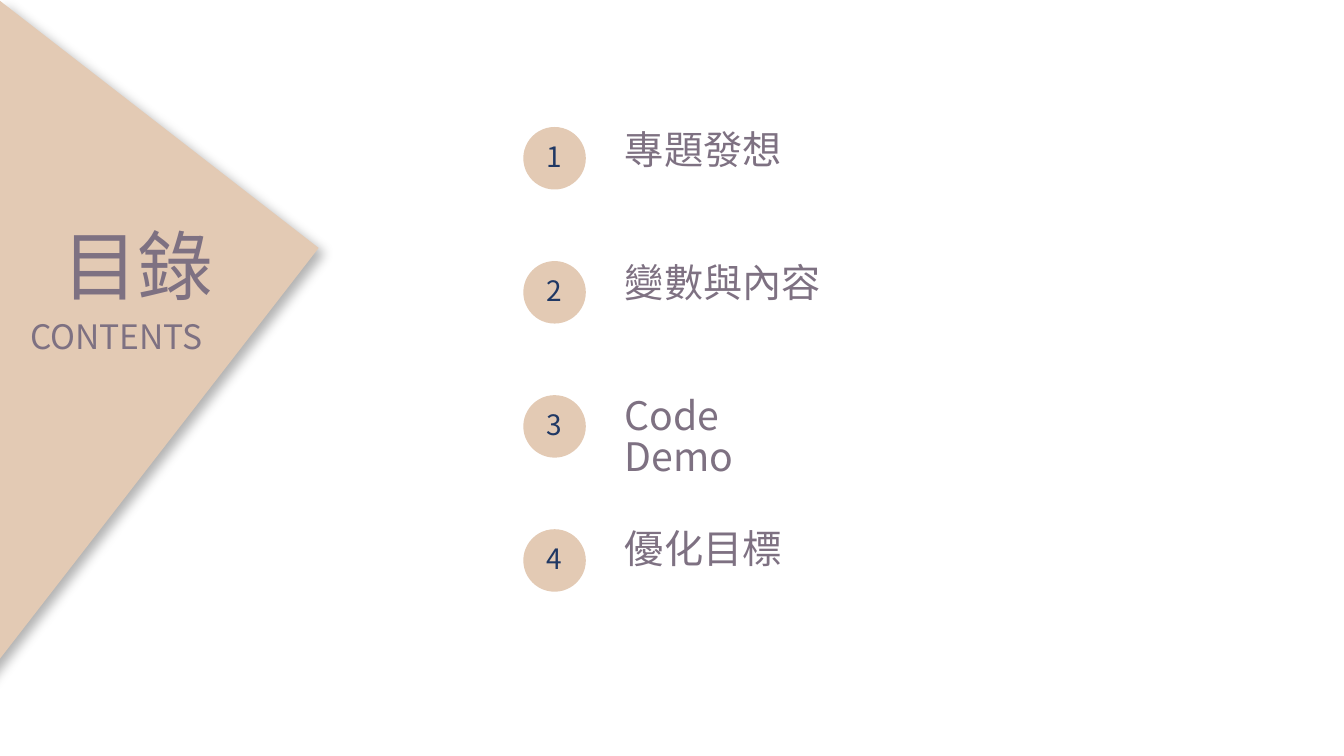
from lxml.etree import SubElement
from pptx import Presentation
from pptx.dml.color import RGBColor
from pptx.enum.shapes import MSO_SHAPE
from pptx.enum.text import MSO_ANCHOR, MSO_AUTO_SIZE, PP_ALIGN
from pptx.oxml import parse_xml
from pptx.oxml.ns import nsdecls, qn
from pptx.util import Inches, Pt

COLORS = {"sand": "E3CAB4", "mauve": "7E7182", "navy": "203864", "black": "000000"}
FONT = "Noto Sans CJK SC"
TOPICS = ["專題發想", "變數與內容", "Code Demo", "優化目標"]
LABEL_WIDTHS = [1.77, 2.17, 2.07, 1.77]


def write_text(tf, text, size=28, color="mauve", align=PP_ALIGN.LEFT):
    tf.word_wrap = True
    p = tf.paragraphs[0]
    p.alignment = align
    p.line_spacing = 0.87
    r = p.add_run()
    r.text = text
    r.font.size = Pt(size)
    r.font.name = FONT
    r.font.color.rgb = RGBColor.from_string(COLORS[color])
    SubElement(r.font._element, qn("a:ea"), typeface=FONT)


def add_label(s, text, left, top, width, height, **fmt):
    sp = s.shapes.add_textbox(Inches(left), Inches(top), Inches(width), Inches(height))
    sp.text_frame.auto_size = MSO_AUTO_SIZE.SHAPE_TO_FIT_TEXT
    write_text(sp.text_frame, text, **fmt)


def add_filled(s, kind, left, top, width, height):
    sp = s.shapes.add_shape(kind, Inches(left), Inches(top), Inches(width), Inches(height))
    sp.shadow.inherit = False
    sp.fill.solid()
    sp.fill.fore_color.rgb = RGBColor.from_string(COLORS["sand"])
    sp.line.fill.background()
    return sp


def add_corner(s):
    sp = add_filled(s, MSO_SHAPE.RIGHT_TRIANGLE, -3.19, 1.56, 5.91, 4.01)
    sp.rotation = 127.8
    spPr = sp._element.spPr
    spPr.find(qn("a:xfrm")).set("flipV", "1")
    spPr.find(qn("a:effectLst")).append(parse_xml(
        f'<a:outerShdw {nsdecls("a")} blurRad="{Pt(8)}" dist="{Pt(6)}" dir="2700000" '
        f'algn="tl" rotWithShape="0"><a:srgbClr val="{COLORS["black"]}">'
        '<a:alpha val="30000"/></a:srgbClr></a:outerShdw>'))


def add_badge(s, number, left, top):
    sp = add_filled(s, MSO_SHAPE.OVAL, left, top, 0.62, 0.62)
    sp.text_frame.vertical_anchor = MSO_ANCHOR.MIDDLE
    write_text(sp.text_frame, str(number), size=20, color="navy", align=PP_ALIGN.CENTER)


def main():
    prs = Presentation()
    prs.slide_width, prs.slide_height = Inches(13.33), Inches(7.5)
    s = prs.slides.add_slide(prs.slide_layouts[6])
    add_corner(s)
    add_label(s, "目錄", 0.52, 2.25, 1.72, 1.01, size=54)
    add_label(s, "CONTENTS", 0.2, 3.14, 2.05, 0.5, size=24)
    for i, (topic, width) in enumerate(zip(TOPICS, LABEL_WIDTHS)):
        add_badge(s, i + 1, 5.19, 1.26 + 1.33 * i)
        add_label(s, topic, 6.1, 1.26 + 1.32 * i, width, 0.57)
    prs.save("out.pptx")


if __name__ == "__main__":
    main()
